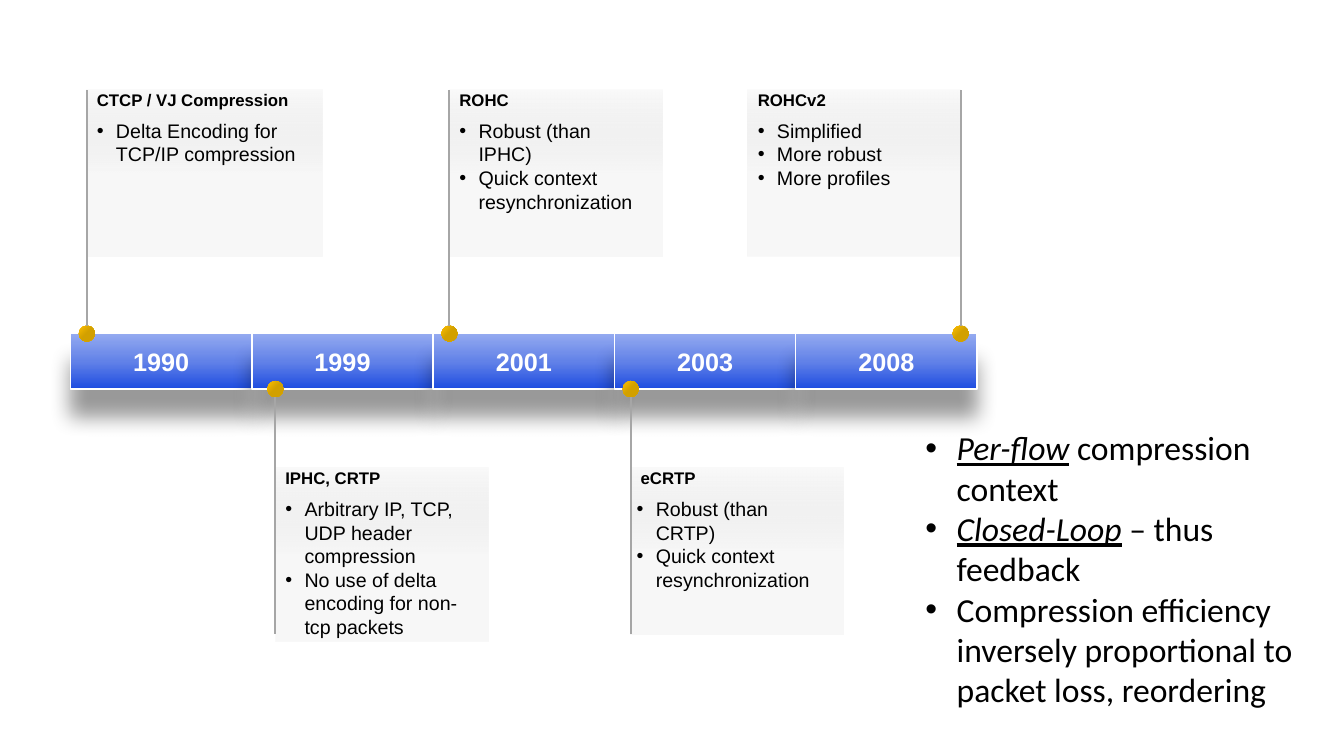
from dataclasses import dataclass

from lxml.etree import SubElement
from pptx import Presentation
from pptx.dml.color import RGBColor
from pptx.enum.shapes import MSO_CONNECTOR, MSO_SHAPE
from pptx.enum.text import MSO_ANCHOR, MSO_AUTO_SIZE, PP_ALIGN
from pptx.oxml.ns import qn
from pptx.util import Inches, Pt

WHITE = RGBColor(0xFF, 0xFF, 0xFF)
BLACK = RGBColor(0x00, 0x00, 0x00)
PIN_GREY = RGBColor(0xA6, 0xA6, 0xA6)
# Gradient stops: position %, colour, opacity %
CARD_STOPS = [(0, RGBColor(0xFA, 0xFA, 0xFA), 100), (50, RGBColor(0xD9, 0xD9, 0xD9), 20)]
BAR_STOPS = [(0, RGBColor(0x94, 0xAA, 0xF0), 100), (50, RGBColor(0x62, 0x82, 0xE8), 100),
             (100, RGBColor(0x1E, 0x4C, 0xE0), 100)]
DOT_STOPS = [(0, RGBColor(0xFF, 0xC0, 0x00), 100), (50, RGBColor(0xD2, 0xA0, 0x00), 100)]

SLIDE_WIDTH, SLIDE_HEIGHT = 13.33, 7.5
DOT = 0.16
CARD_ROWS = 3
ABOVE_ROW, BELOW_ROW = -4.4, 2.42
HEADING_HEIGHT, BODY_OFFSET = 0.2, 0.24


@dataclass
class Box:
    left: float
    top: float
    width: float
    height: float

    def emu(self):
        """Return the box as EMU lengths for python-pptx."""
        return [Inches(v) for v in (self.left, self.top, self.width, self.height)]


@dataclass
class Milestone:
    column: float  # pin position, in bar columns
    above: bool
    heading: str
    points: list
    width: float = 2.11
    text_width: float = 2.03
    rows: float = CARD_ROWS
    pin_right: bool = False
    body_shift: float = 0


YEARS = ["1990", "1999", "2001", "2003", "2008"]
MILESTONES = [
    Milestone(0.09, True, "CTCP / VJ Compression", ["Delta Encoding for TCP/IP compression"],
              width=2.34, text_width=2.34),
    Milestone(1.13, False, "IPHC, CRTP",
              ["Arbitrary IP, TCP, UDP header compression",
               "No use of delta encoding for non-tcp packets"], rows=3.13),
    Milestone(2.09, True, "ROHC", ["Robust (than IPHC)", "Quick context resynchronization"]),
    Milestone(3.09, False, "eCRTP", ["Robust (than CRTP)", "Quick context resynchronization"],
              body_shift=-0.04),
    Milestone(4.91, True, "ROHCv2", ["Simplified", "More robust", "More profiles"],
              pin_right=True),
]
# Each takeaway: emphasised opening, plain remainder
TAKEAWAYS = [("Per-flow", " compression context"), ("Closed-Loop", " – thus feedback"),
             ("", "Compression efficiency inversely proportional to packet loss, reordering")]


def add_gradient_shape(slide, preset, box, stops, angle):
    """Add a borderless, shadowless shape with a linear gradient."""
    shape = slide.shapes.add_shape(preset, *box.emu())
    shape.shadow.inherit = False
    shape.line.fill.background()
    shape.fill.background()
    properties = shape.fill._xPr
    gradient = SubElement(properties, qn("a:gradFill"), rotWithShape="1")
    stop_list = SubElement(gradient, qn("a:gsLst"))
    for position, colour, opacity in stops:
        stop = SubElement(stop_list, qn("a:gs"), pos=str(position * 1000))
        tint = SubElement(stop, qn("a:srgbClr"), val=str(colour))
        if opacity < 100:
            SubElement(tint, qn("a:alpha"), val=str(opacity * 1000))
    SubElement(gradient, qn("a:lin"), ang=str(angle * 60000), scaled="0")
    properties.replace(properties.find(qn("a:noFill")), gradient)
    return shape


def add_drop_shadow(shape):
    """Cast a soft black shadow straight down."""
    effects = shape._element.spPr.find(qn("a:effectLst"))
    shadow = SubElement(effects, qn("a:outerShdw"), blurRad=str(Pt(15)), dist=str(Pt(20)),
                        dir=str(90 * 60000), algn="ctr", rotWithShape="0")
    colour = SubElement(shadow, qn("a:srgbClr"), val=str(BLACK))
    SubElement(colour, qn("a:alpha"), val="40000")


def format_run(run, font, size, colour=BLACK, bold=False):
    """Set the typeface, size, colour and weight of a run."""
    run.font.name, run.font.size, run.font.bold = font, Pt(size), bold
    run.font.color.rgb = colour


def add_bullet(paragraph, indent):
    """Give a paragraph a round bullet and a hanging indent."""
    properties = paragraph._p.get_or_add_pPr()
    properties.set("marL", str(Inches(indent)))
    properties.set("indent", str(-Inches(indent)))
    SubElement(properties, qn("a:buFont"), typeface="Arial")
    SubElement(properties, qn("a:buChar"), char="•")


def add_text_frame(slide, box):
    """Add a wrapping text box and return its text frame."""
    frame = slide.shapes.add_textbox(*box.emu()).text_frame
    frame.word_wrap = True
    return frame


def add_year_bar(slide, band):
    """Divide the band into one labelled bar per year."""
    column = band.width / len(YEARS)
    for index, year in enumerate(YEARS):
        box = Box(band.left + index * column, band.top, column, band.height)
        bar = add_gradient_shape(slide, MSO_SHAPE.RECTANGLE, box, BAR_STOPS, 90)
        bar.line.color.rgb = WHITE
        bar.line.width = Pt(1)
        add_drop_shadow(bar)
        frame = bar.text_frame
        frame.text = year
        frame.vertical_anchor = MSO_ANCHOR.MIDDLE
        frame.paragraphs[0].alignment = PP_ALIGN.CENTER
        format_run(frame.paragraphs[0].runs[0], "Arial", 18, WHITE, True)


def add_card(slide, milestone, box):
    """Add a milestone's card with its heading and bulleted points."""
    add_gradient_shape(slide, MSO_SHAPE.RECTANGLE, box, CARD_STOPS, 90)
    heading = add_text_frame(slide, Box(box.left, box.top, milestone.text_width, HEADING_HEIGHT))
    heading.text = milestone.heading
    heading.vertical_anchor = MSO_ANCHOR.MIDDLE
    format_run(heading.paragraphs[0].runs[0], "Arial", 12, bold=True)
    body = add_text_frame(slide, Box(box.left + milestone.body_shift, box.top + BODY_OFFSET,
                                     milestone.text_width, box.height - BODY_OFFSET))
    body.text = "\n".join(milestone.points)
    for paragraph in body.paragraphs:
        add_bullet(paragraph, 0.19)
        format_run(paragraph.runs[0], "Arial", 14)


def add_pin(slide, x, bar_edge, card_edge):
    """Join a dot on the bar's edge to the far edge of a card."""
    dot_box = Box(x - DOT / 2, bar_edge - DOT / 2, DOT, DOT)
    add_gradient_shape(slide, MSO_SHAPE.OVAL, dot_box, DOT_STOPS, 45)
    start = bar_edge + (DOT / 2 if card_edge > bar_edge else -DOT / 2)
    stem = slide.shapes.add_connector(MSO_CONNECTOR.STRAIGHT, Inches(x), Inches(start),
                                      Inches(x), Inches(card_edge))
    stem.line.color.rgb = PIN_GREY
    stem.line.width = Pt(1.5)
    SubElement(stem._element.spPr, qn("a:effectLst"))


def add_timeline(slide, band):
    """Place the year bar in the band, with milestones above and below it."""
    add_year_bar(slide, band)
    column, row = band.width / len(YEARS), band.height
    for milestone in MILESTONES:
        x = band.left + milestone.column * column
        top = band.top + (ABOVE_ROW if milestone.above else BELOW_ROW) * row
        left = x - milestone.width if milestone.pin_right else x
        add_card(slide, milestone, Box(left, top, milestone.width, milestone.rows * row))
        if milestone.above:
            add_pin(slide, x, band.top, top)
        else:
            add_pin(slide, x, band.top + row, top + CARD_ROWS * row)


def add_takeaways(slide, box):
    """List the takeaways with their opening words emphasised."""
    frame = add_text_frame(slide, box)
    frame.auto_size = MSO_AUTO_SIZE.SHAPE_TO_FIT_TEXT
    for index, (opening, remainder) in enumerate(TAKEAWAYS):
        paragraph = frame.add_paragraph() if index else frame.paragraphs[0]
        add_bullet(paragraph, 0.31)
        for words in filter(None, (opening, remainder)):
            run = paragraph.add_run()
            run.text = words
            format_run(run, "Calibri", 24)
            run.font.italic = run.font.underline = words == opening


presentation = Presentation()
presentation.slide_width, presentation.slide_height = Inches(SLIDE_WIDTH), Inches(SLIDE_HEIGHT)
history = presentation.slides.add_slide(presentation.slide_layouts[6])
add_timeline(history, Box(0.7, 3.31, 8.99, 0.55))
add_takeaways(history, Box(9.08, 4.19, 3.92, 2.93))
presentation.save("out.pptx")
